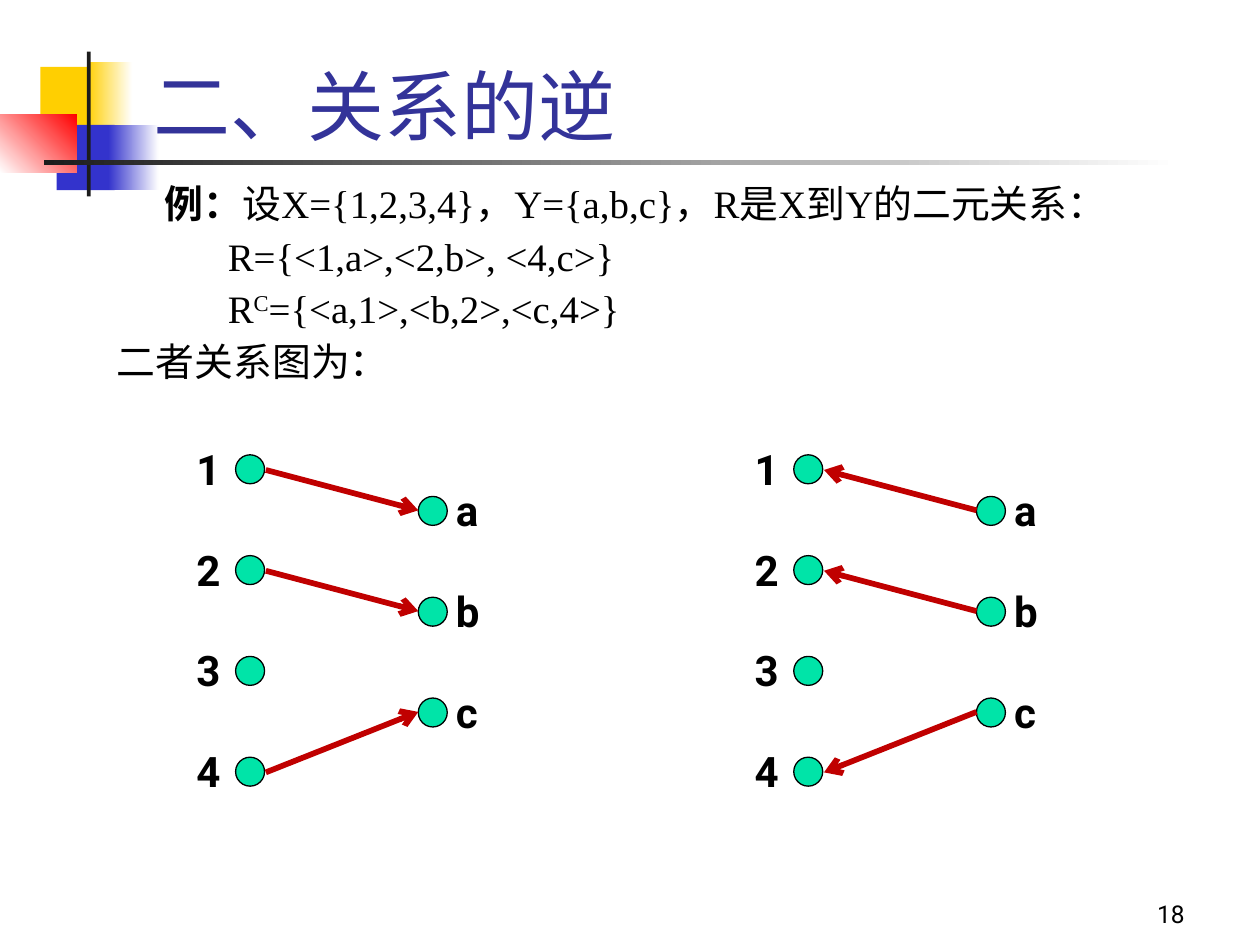
import pptx
import pptx.dml.color
import pptx.enum.shapes
import pptx.enum.text
import pptx.util
from pptx.util import Inches
import lxml.etree

SHAPE = pptx.enum.shapes.MSO_SHAPE
ALIGN = pptx.enum.text.PP_ALIGN
ANCHOR = pptx.enum.text.MSO_ANCHOR
NS = "{http://schemas.openxmlformats.org/drawingml/2006/main}"


def color(code):
    return pptx.dml.color.RGBColor.from_string(code)


def label(shapes, box, text, size, code="000000", bold=False):
    """Add a one-line text box and return its text frame."""
    frame = shapes.add_textbox(*map(Inches, box)).text_frame
    line = frame.paragraphs[0]
    line.text = text
    line.font.name = "Roboto"
    line.font.size = pptx.util.Pt(size)
    line.font.bold = bold
    line.font.color.rgb = color(code)
    return frame


deck = pptx.Presentation()
deck.slide_width, deck.slide_height = Inches(10), Inches(7.5)
slide = deck.slides.add_slide(deck.slide_layouts[6])

# Corner ornament: box, start colour, end colour (if graded), angle
blocks = [
    ((0.32, 0.53, 0.48, 0.52), "FFCF01", None, 0),
    ((0.69, 0.49, 0.36, 0.52), "FFCF01", "FFFFFF", 0),
    ((0.45, 0.99, 0.46, 0.52), "3333CC", None, 0),
    ((0.86, 0.99, 0.4, 0.52), "3333CC", "FFFFFF", 0),
    ((0, 0.91, 0.61, 0.46), "FFFFFF", "FF0000", 45),
    ((0.69, 0.41, 0.03, 1.15), "1C1C1C", None, 0),
    ((0.35, 1.27, 9, 0.04), "1C1C1C", "FFFFFF", 0),
]
for box, start, end, angle in blocks:
    block = slide.shapes.add_shape(SHAPE.RECTANGLE, *map(Inches, box))
    block.shadow.inherit = False
    block.line.fill.background()
    if end:
        block.fill.gradient()
        block.fill.gradient_angle = angle
        for stop, code in zip(block.fill.gradient_stops, (start, end)):
            stop.color.rgb = color(code)
    else:
        block.fill.solid()
        block.fill.fore_color.rgb = color(start)

# Page number and title
page = label(slide.shapes, (7.42, 6.92, 2.08, 0.5), "18", 14)
page.paragraphs[0].alignment = ALIGN.RIGHT
title = label(slide.shapes, (1.12, 0, 8.52, 1.25), "二、关系的逆", 44, "333399")
for frame in (page, title):
    frame.word_wrap = True
    frame.vertical_anchor = ANCHOR.BOTTOM

# Body: each line is a list of (text, style) runs
lines = [
    [("\t", ""), ("例：", "bold"),
     ("设X={1,2,3,4}，Y={a,b,c}，R是X到Y的二元关系：", "")],
    [("\t\tR={<1,a>,<2,b>, <4,c>}", "")],
    [("\t\tR", ""), ("C", "super"), ("={<a,1>,<b,2>,<c,4>}", "")],
    [("二者关系图为：", "")],
]
body = slide.shapes.add_textbox(*map(Inches, (0.83, 1.42, 9, 1.94))).text_frame
body.word_wrap = True
for row, runs in enumerate(lines):
    para = body.add_paragraph() if row else body.paragraphs[0]
    props = para._p.get_or_add_pPr()
    props.set("marL", str(Inches(0.38)))
    props.set("indent", str(-Inches(0.38)))
    para.line_spacing = 0.9
    para.space_before = pptx.util.Pt(6 if row else 0)
    tabs = lxml.etree.SubElement(props, NS + "tabLst")
    for stop in range(2):
        lxml.etree.SubElement(tabs, NS + "tab", pos=str(Inches(stop)), algn="l")
    para.font.name = "Times New Roman"
    para.font.size = pptx.util.Pt(22.2)
    para.font.color.rgb = color("000000")
    for text, style in runs:
        run = para.add_run()
        run.text = text
        if style == "bold":
            run.font.bold = True
        elif style == "super":
            run.font._element.set("baseline", "30000")

# Relation graphs: R on the left, its converse on the right
DOT, STEP = 0.23, 0.8
pairs = [(0, 0), (1, 1), (3, 2)]
for left, arrow in ((1.87, "tailEnd"), (6.3, "headEnd")):
    graph = slide.shapes.add_group_shape().shapes

    # Nodes: names, dot offset, label offset, first top
    for names, shift, gap, top in (("1234", 0, -0.41, 3.61),
                                   ("abc", 1.45, 0.2, 3.94)):
        for row, name in enumerate(names):
            x, y = left + shift, top + row * STEP
            dot = graph.add_shape(SHAPE.OVAL, Inches(x), Inches(y),
                                  Inches(DOT), Inches(DOT))
            dot.shadow.inherit = False
            dot.fill.solid()
            dot.fill.fore_color.rgb = color("00E4A8")
            dot.line.color.rgb = color("000000")
            dot.line.width = pptx.util.Pt(0.75)
            tag = label(graph, (x + gap, y - 0.14, 0.4, 0.5), name, 24, bold=True)
            tag.word_wrap = False

    # Arrows between the related nodes
    for num, char in pairs:
        edge = graph.add_connector(
            pptx.enum.shapes.MSO_CONNECTOR.STRAIGHT,
            Inches(left + 0.24), Inches(3.73 + num * STEP),
            Inches(left + 1.45), Inches(4.05 + char * STEP))
        edge.line.color.rgb = color("C00000")
        edge.line.width = pptx.util.Pt(3.25)
        lxml.etree.SubElement(edge.line._get_or_add_ln(), NS + arrow, type="arrow")
        lxml.etree.SubElement(edge._element.spPr, NS + "effectLst")

deck.save("out.pptx")
